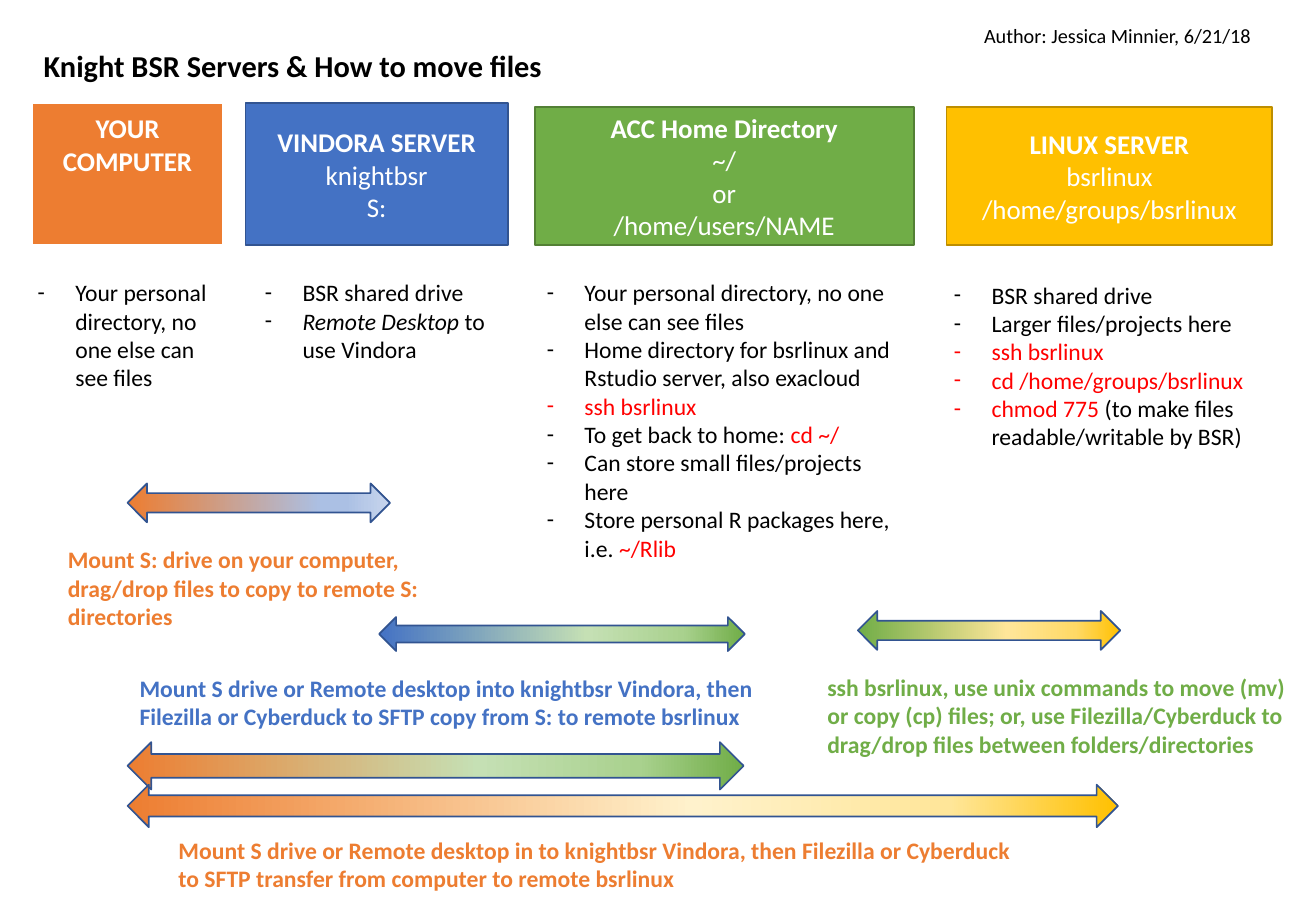
from lxml import etree
from pptx import Presentation
from pptx.dml.color import RGBColor
from pptx.enum import shapes, text
from pptx.oxml import ns
from pptx.util import Inches, Pt

FONT = "Calibri"
BLACK = RGBColor(0x00, 0x00, 0x00)
WHITE = RGBColor(0xFF, 0xFF, 0xFF)
RED = RGBColor(0xFF, 0x00, 0x00)
ORANGE = RGBColor(0xED, 0x7D, 0x31)
BLUE = RGBColor(0x44, 0x72, 0xC4)
BLUE_EDGE = RGBColor(0x32, 0x54, 0x91)
BLUE_MID = RGBColor(0xAB, 0xC0, 0xE4)
BLUE_PALE = RGBColor(0xC7, 0xD5, 0xED)
GREEN = RGBColor(0x70, 0xAD, 0x47)
GREEN_EDGE = RGBColor(0x53, 0x80, 0x35)
GREEN_MID = RGBColor(0xA9, 0xD1, 0x8E)
GREEN_PALE = RGBColor(0xC5, 0xE0, 0xB4)
GOLD = RGBColor(0xFF, 0xC0, 0x00)
GOLD_EDGE = RGBColor(0xBD, 0x8E, 0x00)
GOLD_DEEP = RGBColor(0xFF, 0xD9, 0x66)
GOLD_MID = RGBColor(0xFF, 0xE6, 0x99)
GOLD_PALE = RGBColor(0xFF, 0xF2, 0xCC)

SERVERS = [
    ((0.26, 0.85, 1.58, 1.17), ORANGE, WHITE, 1.5, text.MSO_ANCHOR.TOP, ["YOUR COMPUTER"]),
    ((2.02, 0.85, 2.16, 1.17), BLUE, BLUE_EDGE, 1, text.MSO_ANCHOR.MIDDLE,
     ["VINDORA SERVER", "knightbsr", "S:"]),
    ((4.4, 0.88, 3.12, 1.14), GREEN, GREEN_EDGE, 1, text.MSO_ANCHOR.MIDDLE,
     ["ACC Home Directory", "~/", "or", "/home/users/NAME"]),
    ((7.79, 0.88, 2.68, 1.14), GOLD, GOLD_EDGE, 1, text.MSO_ANCHOR.MIDDLE,
     ["LINUX SERVER", "bsrlinux", "/home/groups/bsrlinux"]),
]

NOTES = [
    ((0.21, 2.24, 1.7, 1.04), [
        [("Your personal directory, no one else can see files", {})],
    ]),
    ((2.08, 2.24, 2.04, 0.81), [
        [("BSR shared drive", {})],
        [("Remote Desktop ", {"italic": True}), ("to use Vindora", {})],
    ]),
    ((4.4, 2.24, 3.12, 2.69), [
        [("Your personal directory, no one else can see files", {})],
        [("Home directory for bsrlinux and Rstudio server, also exacloud", {})],
        [("ssh bsrlinux", {"color": RED})],
        [("To get back to home: ", {}), ("cd ~/", {"color": RED})],
        [("Can store small files/projects here", {})],
        [("Store personal R packages here, i.e. ", {}), ("~/Rlib", {"color": RED})],
    ]),
    ((7.75, 2.26, 2.68, 1.75), [
        [("BSR shared drive", {})],
        [("Larger files/projects here", {})],
        [("ssh bsrlinux", {"color": RED})],
        [("cd /home/groups/bsrlinux", {"color": RED})],
        [("chmod 775", {"color": RED}), (" (to make files readable/writable by BSR)", {})],
    ]),
]

ROUTES = [
    ((1.05, 3.98, 2.16, 0.32), [(0, ORANGE), (74, BLUE_MID), (83, BLUE_MID), (100, BLUE_PALE)]),
    ((3.12, 5.08, 3.01, 0.28), [(0, BLUE), (57, GREEN_PALE), (83, GREEN_MID), (100, GREEN)]),
    ((7.06, 5.03, 2.16, 0.32), [(0, GREEN), (57, GOLD_MID), (83, GOLD_DEEP), (100, GOLD)]),
    ((1.05, 6.11, 5.07, 0.39), [(0, ORANGE), (57, GREEN_PALE), (83, GREEN_MID), (100, GREEN)]),
    ((1.05, 6.46, 8.15, 0.35), [(0, ORANGE), (57, GOLD_PALE), (83, GOLD_MID), (100, GOLD)]),
]

CAPTIONS = [
    ((0.46, 4.44, 3.67, 1.11), ORANGE,
     "Mount S: drive on your computer, drag/drop files to copy to remote S: directories"),
    ((1.05, 5.5, 5.43, 0.57), BLUE,
     "Mount S drive or Remote desktop into knightbsr Vindora, then Filezilla or Cyberduck "
     "to SFTP copy from S: to remote bsrlinux"),
    ((6.71, 5.49, 3.99, 0.81), GREEN,
     "ssh bsrlinux, use unix commands to move (mv) or copy (cp) files; or, use "
     "Filezilla/Cyberduck to drag/drop files between folders/directories"),
    ((1.37, 6.83, 7.18, 0.57), ORANGE,
     "Mount S drive or Remote desktop in to knightbsr Vindora, then Filezilla or Cyberduck "
     "to SFTP transfer from computer to remote bsrlinux"),
]


def place(holder, box):
    """Move a placeholder to a box given in inches."""
    holder.left, holder.top, holder.width, holder.height = map(Inches, box)


def add_run(paragraph, words, size, color=BLACK, bold=False, italic=False):
    """Append one formatted run."""
    run = paragraph.add_run()
    run.text = words
    font = run.font
    font.name, font.size, font.bold, font.italic = FONT, Pt(size), bold, italic
    font.color.rgb = color


def next_paragraph(frame, index):
    """Return the first paragraph of a frame or a new one."""
    return frame.add_paragraph() if index else frame.paragraphs[0]


def fill_title(title):
    """Write the slide title."""
    place(title, (0.26, 0.34, 4.34, 0.4))
    frame = title.text_frame
    frame.auto_size = text.MSO_AUTO_SIZE.NONE
    frame.word_wrap = False
    frame.vertical_anchor = text.MSO_ANCHOR.TOP
    heading = frame.paragraphs[0]
    heading.alignment = text.PP_ALIGN.LEFT
    add_run(heading, "Knight BSR Servers & How to move files", 18, bold=True)


def fill_notes(body, box, items):
    """Write a dashed list into a body placeholder."""
    place(body, box)
    frame = body.text_frame
    frame.auto_size = text.MSO_AUTO_SIZE.NONE
    frame.word_wrap = True
    frame.vertical_anchor = text.MSO_ANCHOR.TOP
    for index, runs in enumerate(items):
        item = next_paragraph(frame, index)
        properties = item._p.get_or_add_pPr()
        properties.set("marL", str(Inches(0.31)))
        properties.set("indent", str(Inches(-0.31)))
        etree.SubElement(properties, ns.qn("a:buFont"), typeface=FONT)
        etree.SubElement(properties, ns.qn("a:buChar"), char="-")
        item.space_before = Pt(0)
        for words, style in runs:
            add_run(item, words, 14, **style)


def add_server(slide, box, color, edge, edge_width, anchor, lines):
    """Add a coloured server box with a bold first line."""
    server = slide.shapes.add_shape(shapes.MSO_SHAPE.RECTANGLE, *map(Inches, box))
    server.shadow.inherit = False
    server.fill.solid()
    server.fill.fore_color.rgb = color
    server.line.color.rgb = edge
    server.line.width = Pt(edge_width)
    frame = server.text_frame
    frame.word_wrap = True
    frame.vertical_anchor = anchor
    frame.margin_left = frame.margin_right = Inches(0.14)
    frame.margin_top = frame.margin_bottom = Inches(0.07)
    for index, words in enumerate(lines):
        line = next_paragraph(frame, index)
        line.alignment = text.PP_ALIGN.CENTER
        add_run(line, words, 16, WHITE, bold=index == 0)


def add_route(slide, box, stops):
    """Add a two-headed arrow with a horizontal gradient."""
    route = slide.shapes.add_shape(shapes.MSO_SHAPE.LEFT_RIGHT_ARROW, *map(Inches, box))
    route.shadow.inherit = False
    route.line.color.rgb = BLUE_EDGE
    route.line.width = Pt(1)
    route.fill.gradient()
    route.fill.gradient_angle = 0
    stop_list = route._element.spPr.find(".//" + ns.qn("a:gsLst"))
    for old_stop in list(stop_list):
        stop_list.remove(old_stop)
    for percent, color in stops:
        stop = etree.SubElement(stop_list, ns.qn("a:gs"), pos=str(percent * 1000))
        etree.SubElement(stop, ns.qn("a:srgbClr"), val=str(color))


def add_caption(slide, box, words, size, wrap=True, **style):
    """Add a text box holding one run."""
    frame = slide.shapes.add_textbox(*map(Inches, box)).text_frame
    frame.word_wrap = wrap
    add_run(frame.paragraphs[0], words, size, **style)


def main():
    """Build and save the slide."""
    deck = Presentation()
    deck.slide_width, deck.slide_height = Inches(10.83), Inches(7.5)
    comparison = deck.slide_layouts.get_by_name("Comparison")
    slide = deck.slides.add_slide(comparison)
    fill_title(slide.shapes.title)
    bodies = list(slide.placeholders)[1:]
    for body, (box, items) in zip(bodies, NOTES):
        fill_notes(body, box, items)
    for server in SERVERS:
        add_server(slide, *server)
    for route in ROUTES:
        add_route(slide, *route)
    for box, color, words in CAPTIONS:
        add_caption(slide, box, words, 14, color=color, bold=True)
    add_caption(slide, (8, 0.14, 2.43, 0.3), "Author: Jessica Minnier, 6/21/18", 12, wrap=False)
    deck.save("out.pptx")


if __name__ == "__main__":
    main()
